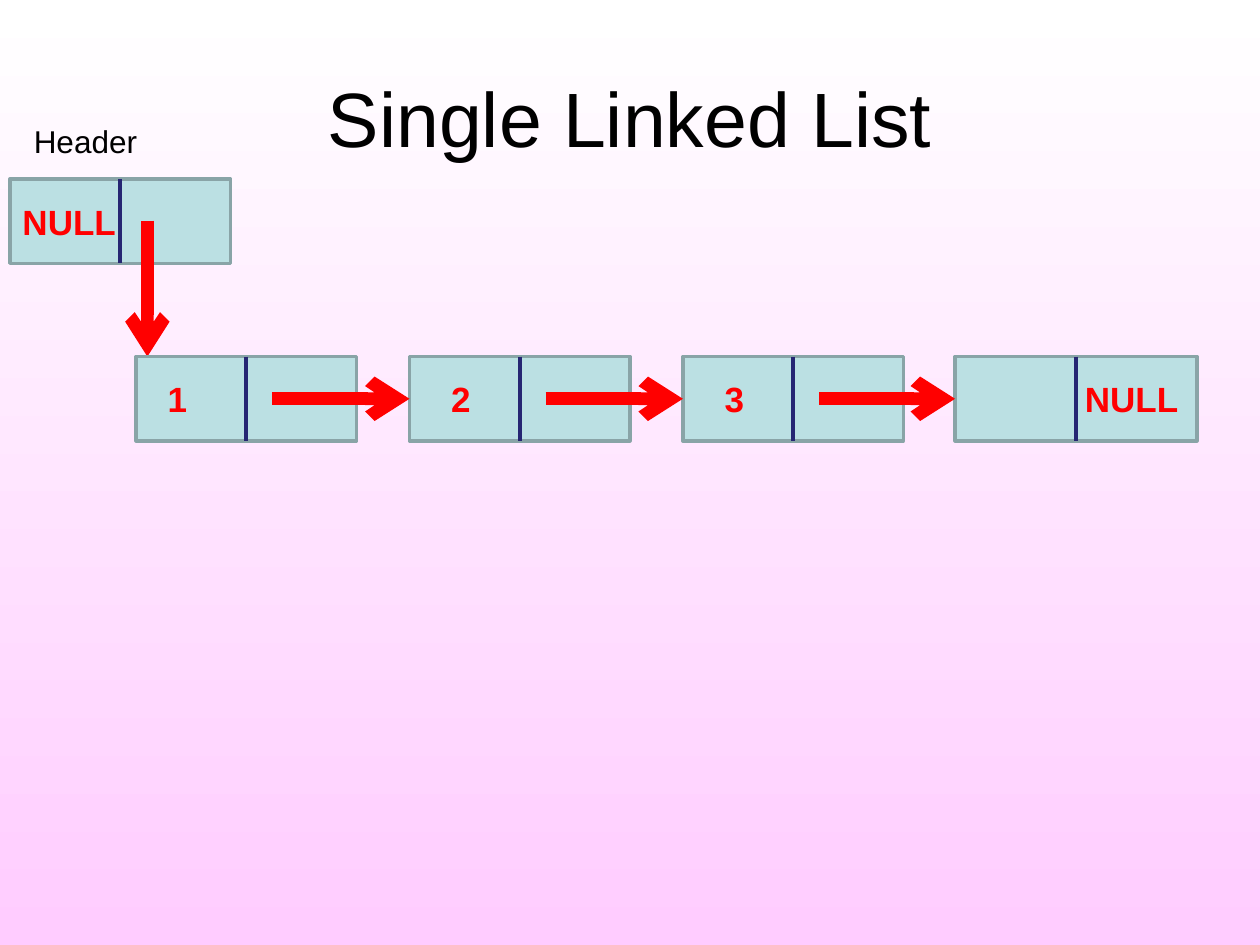
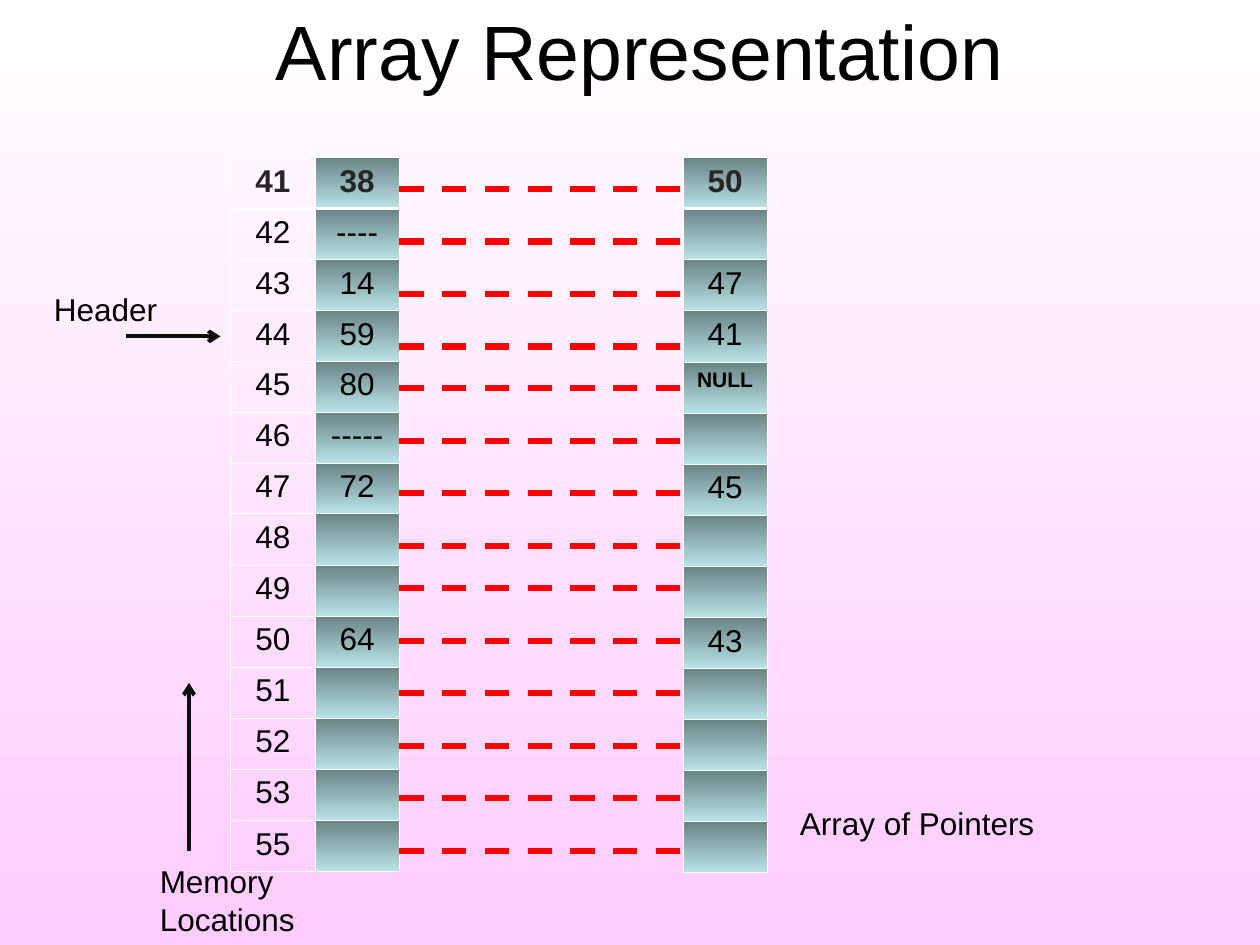
from pptx import Presentation
from pptx.dml.color import RGBColor
from pptx.enum.dml import MSO_LINE
from pptx.enum.shapes import MSO_CONNECTOR, MSO_SHAPE
from pptx.enum.text import MSO_ANCHOR, PP_ALIGN
from pptx.oxml.ns import qn
from pptx.util import Inches, Pt
from lxml import etree

FONT = "Arial"
BLACK = RGBColor(0, 0, 0)
WHITE = RGBColor(0xFF, 0xFF, 0xFF)
PINK = RGBColor(0xFF, 0xCC, 0xFF)
RED = RGBColor(0xFF, 0, 0)
NAVY = RGBColor(0x26, 0x26, 0x73)
NODE_FILL = RGBColor(0xBB, 0xE0, 0xE3)
NODE_LINE = RGBColor(0x89, 0xA4, 0xA7)
CELL_TOP = RGBColor(0x6A, 0x84, 0x86)
CELL_BOTTOM = RGBColor(0xB8, 0xE3, 0xE6)
HEAD_TEXT = RGBColor(0x26, 0x26, 0x26)
ARROW_BLACK = RGBColor(0x0D, 0x0D, 0x0D)

NODE_HEIGHT = 0.67
POINTER_OFFSET = 1.08

ADDRESSES = ["41", "42", "43", "44", "45", "46", "47",
             "48", "49", "50", "51", "52", "53", "55"]
VALUES = ["38", "----", "14", "59", "80", "-----", "72",
          "", "", "64", "", "", "", ""]
POINTERS = ["50", "", "47", "41", "NULL", "", "45",
            "", "", "43", "", "", "", ""]


def write_text(frame, text, size=18, color=BLACK, bold=False, align=PP_ALIGN.LEFT):
    frame.word_wrap = True
    paragraph = frame.paragraphs[0]
    paragraph.alignment = align
    run = paragraph.add_run()
    run.text = text
    run.font.name = FONT
    run.font.size = Pt(size)
    run.font.bold = bold
    run.font.color.rgb = color


def fill_downward(fill, top_color, bottom_color):
    """Fill with a gradient that runs from top to bottom."""
    fill.gradient()
    fill.gradient_angle = 270
    for stop, color in zip(fill.gradient_stops, (top_color, bottom_color)):
        stop.color.rgb = color


def add_titled_slide(presentation, text, left, top, width, height):
    slide = presentation.slides.add_slide(presentation.slide_layouts[5])
    title = slide.shapes.title
    title.left, title.top = Inches(left), Inches(top)
    title.width, title.height = Inches(width), Inches(height)
    title.text_frame.vertical_anchor = MSO_ANCHOR.MIDDLE
    write_text(title.text_frame, text, size=44, align=PP_ALIGN.CENTER)
    return slide


def add_label(slide, text, left, top, width, height=0.4):
    box = slide.shapes.add_textbox(Inches(left), Inches(top), Inches(width), Inches(height))
    write_text(box.text_frame, text)


def add_line(slide, start, end, color, width, arrow=False, dash=None):
    line = slide.shapes.add_connector(
        MSO_CONNECTOR.STRAIGHT, *(Inches(value) for value in (*start, *end)))
    line.line.color.rgb = color
    line.line.width = Pt(width)
    if dash:
        line.line.dash_style = dash
    properties = line._element.spPr
    if arrow:
        outline = properties.find(qn("a:ln"))
        etree.SubElement(outline, qn("a:tailEnd"), type="arrow")
    etree.SubElement(properties, qn("a:effectLst"))
    return line


def add_node(slide, text, left, top, width=1.75, indent=0):
    """Add a list node: a box split into a data half and a pointer half."""
    node = slide.shapes.add_shape(
        MSO_SHAPE.RECTANGLE, Inches(left), Inches(top), Inches(width), Inches(NODE_HEIGHT))
    node.shadow.inherit = False
    node.fill.solid()
    node.fill.fore_color.rgb = NODE_FILL
    node.line.color.rgb = NODE_LINE
    node.line.width = Pt(2)
    frame = node.text_frame
    frame.vertical_anchor = MSO_ANCHOR.MIDDLE
    frame.margin_left = Inches(0.1 + indent)
    write_text(frame, text, size=20, color=RED, bold=True)

    middle = left + width / 2
    divider = add_line(slide, (middle, top), (middle, top + NODE_HEIGHT), NAVY, 2.25)
    divider.begin_connect(node, 0)
    divider.end_connect(node, 2)
    return node


def add_border(cell, side, index, width):
    line = etree.Element(qn(f"a:ln{side}"), w=str(Pt(width)))
    solid = etree.SubElement(line, qn("a:solidFill"))
    etree.SubElement(solid, qn("a:srgbClr"), val=str(WHITE))
    cell._tc.get_or_add_tcPr().insert(index, line)


def add_memory_table(slide, columns, left, top, column_width, height, plain_columns=()):
    """Add a table from columns of text; plain columns show the background."""
    row_count = len(columns[0])
    table = slide.shapes.add_table(
        row_count, len(columns), Inches(left), Inches(top),
        Inches(column_width * len(columns)), Inches(height)).table
    table.first_row = False
    table.horz_banding = False
    for row in table.rows:
        row.height = Inches(height / row_count)
    for column_index, texts in enumerate(columns):
        table.columns[column_index].width = Inches(column_width)
        for row_index, text in enumerate(texts):
            cell = table.cell(row_index, column_index)
            if column_index in plain_columns:
                cell.fill.background()
            else:
                fill_downward(cell.fill, CELL_TOP, CELL_BOTTOM)
            widths = {"L": 0.45, "R": 0.45,
                      "T": 1.47 if row_index == 1 else 0.45,
                      "B": 1.47 if row_index == 0 else 0.45}
            for index, (side, width) in enumerate(widths.items()):
                add_border(cell, side, index, width)
            if text:
                is_head, is_null = row_index == 0, text == "NULL"
                write_text(cell.text_frame, text, size=12 if is_null else 18,
                           color=HEAD_TEXT if is_head else BLACK,
                           bold=is_head or is_null, align=PP_ALIGN.CENTER)


def build_linked_list(presentation):
    slide = add_titled_slide(presentation, "Single Linked List", 0.5, 0.3, 9, 1.25)
    add_label(slide, "Header", 0.17, 0.92, 1.67)
    add_node(slide, "NULL", 0.08, 1.42)
    add_line(slide, (1.17, 1.75), (1.17, 2.83), RED, 7.25, arrow=True)

    top = 2.83
    center = top + NODE_HEIGHT / 2
    nodes = [("1", 1.08, 1.75, 0.15), ("2", 3.25, 1.75, 0.23),
             ("3", 5.42, 1.75, 0.23), ("NULL", 7.58, 1.92, 0.93)]
    previous_left = None
    for text, left, width, indent in nodes:
        node = add_node(slide, text, left, top, width, indent)
        if previous_left is not None:
            arrow = add_line(slide, (previous_left + POINTER_OFFSET, center),
                             (left, center), RED, 7.25, arrow=True)
            arrow.end_connect(node, 1)
        previous_left = left


def build_array(presentation):
    slide = add_titled_slide(presentation, "Array Representation", 0.58, 0.17, 9, 0.45)
    add_memory_table(slide, [ADDRESSES, VALUES], 1.83, 1.25, 0.67, 5.66, plain_columns=(0,))
    add_memory_table(slide, [POINTERS], 5.42, 1.25, 0.67, 5.68)

    for first, count in ((1.5, 4), (3.08, 4), (4.67, 6)):
        for index in range(count):
            y = first + index * 5 / 12
            add_line(slide, (3.17, y), (5.42, y), RED, 3.5, dash=MSO_LINE.DASH)

    add_label(slide, "Array of Pointers", 6.25, 6.33, 2.5)
    add_label(slide, "Memory Locations", 1.17, 6.79, 2, 0.7)
    add_line(slide, (1.5, 6.75), (1.5, 5.42), ARROW_BLACK, 2.25, arrow=True)
    add_line(slide, (1, 2.67), (1.75, 2.67), ARROW_BLACK, 2.25, arrow=True)
    add_label(slide, "Header", 0.33, 2.25, 1.25)


def main():
    presentation = Presentation()
    presentation.slide_width = Inches(10)
    presentation.slide_height = Inches(7.5)
    fill_downward(presentation.slide_master.background.fill, WHITE, PINK)
    build_linked_list(presentation)
    build_array(presentation)
    presentation.save("out.pptx")


if __name__ == "__main__":
    main()
